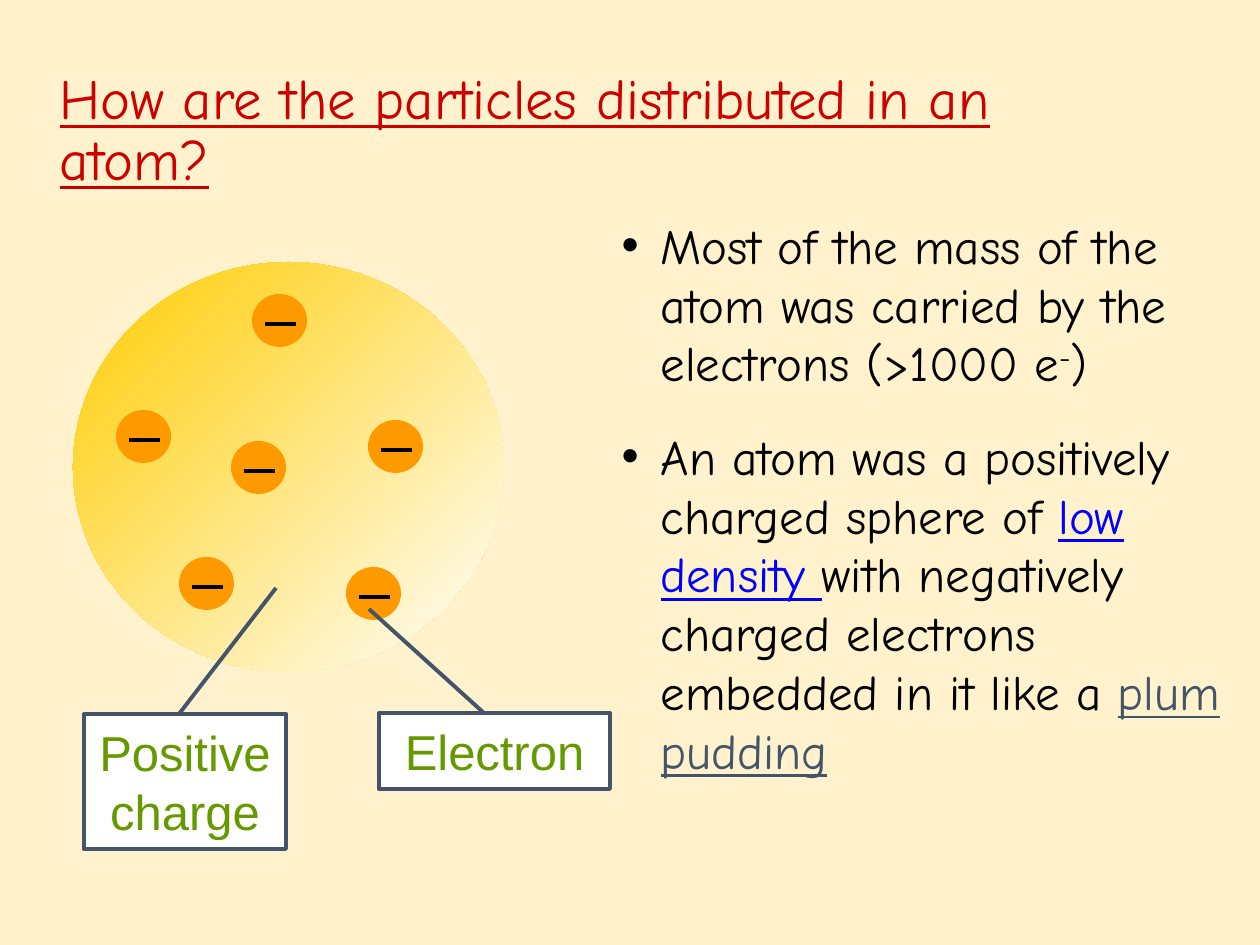
from lxml.etree import SubElement
from pptx import Presentation
from pptx.dml.color import RGBColor
from pptx.enum.shapes import MSO_CONNECTOR as CONNECTOR, MSO_SHAPE as SHAPE
from pptx.enum.text import MSO_ANCHOR as ANCHOR, MSO_AUTO_SIZE as AUTO_SIZE, PP_ALIGN as ALIGN
from pptx.oxml.ns import qn
from pptx.util import Pt

EMU_PER_PX = 914400 / 126
COLORS = {
    "background": "FFF2CC", "title": "CC0000", "text": "000000", "density": "0000FF",
    "accent": "44546A", "label": "669900", "box": "FFFFFF", "electron": "FF9900",
    "sphere_start": "FFCC00", "sphere_end": "FFFFFF",
}
TITLE_FONT = {"name": "Comic Neue", "size": Pt(32.4), "underline": True}
BODY_FONT = {"name": "Comic Neue", "size": Pt(28)}
LABEL_FONT = {"name": "Arial", "size": Pt(28)}
PLAIN_FRAME = {"word_wrap": True, "auto_size": AUTO_SIZE.NONE}
ELECTRON_SIZE = (55, 53)
ELECTRONS = [(116, 410), (231, 441), (368, 420), (346, 567), (179, 557), (252, 294)]
CALLOUTS = [
    ("Positive charge", (276, 588, 179, 714), (84, 714, 202, 135)),
    ("Electron", (369, 609, 484, 713), (379, 713, 231, 76)),
]
MASS_POINT = [
    ("Most of the mass of the atom was carried by the electrons (>1000 e", "text", {}),
    ("-", "text", {"baseline": "30000"}),
    (")", "text", {}),
]
SPHERE_POINT = [
    ("An atom was a positively charged sphere of ", "text", {}),
    ("low density ", "density", {"u": "sng"}),
    ("with negatively charged electrons embedded in it like a ", "text", {}),
    ("plum pudding", "accent", {"u": "sng"}),
]


def px(length):
    """Turn pixels into EMU."""
    return round(length * EMU_PER_PX)


def rgb(role):
    """Look up the colour of a role."""
    return RGBColor.from_string(COLORS[role])


def apply(target, values):
    """Set each attribute named in values."""
    for attribute, value in values.items():
        setattr(target, attribute, value)


def place(placeholder, box):
    """Move a placeholder to a pixel box."""
    apply(placeholder, dict(zip(("left", "top", "width", "height"), map(px, box))))


def add_run(paragraph, wording, role, font):
    """Append formatted text to a paragraph."""
    run = paragraph.add_run()
    run.text = wording
    apply(run.font, font)
    run.font.color.rgb = rgb(role)
    return run


def fill_title(title, wording, box):
    """Place and write the slide title."""
    place(title, box)
    apply(title.text_frame, PLAIN_FRAME | {"vertical_anchor": ANCHOR.MIDDLE})
    heading = title.text_frame.paragraphs[0]
    apply(heading, {"alignment": ALIGN.LEFT, "line_spacing": 0.9})
    add_run(heading, wording, "title", TITLE_FONT)


def fill_point(body, pieces, box):
    """Place a body placeholder and write one bullet point."""
    place(body, box)
    apply(body.text_frame, PLAIN_FRAME | {"vertical_anchor": ANCHOR.TOP})
    point = body.text_frame.paragraphs[0]
    point.space_before = Pt(0)
    properties = point._p.get_or_add_pPr()
    properties.set("marL", str(px(39)))
    properties.set("indent", str(px(-39)))
    for wording, role, marks in pieces:
        run = add_run(point, wording, role, BODY_FONT)
        for mark, value in marks.items():
            run._r.get_or_add_rPr().set(mark, value)


def add_ellipse(slide, box):
    """Add an ellipse without outline or shadow."""
    ellipse = slide.shapes.add_shape(SHAPE.OVAL, *map(px, box))
    ellipse.shadow.inherit = False
    ellipse.line.fill.background()
    return ellipse


def add_line(slide, ends, role):
    """Add a straight line without shadow."""
    line = slide.shapes.add_connector(CONNECTOR.STRAIGHT, *map(px, ends))
    line.line.color.rgb = rgb(role)
    line.line.width = Pt(2.25)
    SubElement(line._element.spPr, qn("a:effectLst"))


def add_sphere(slide, box):
    """Add the positive sphere with its diagonal gradient."""
    fill = add_ellipse(slide, box).fill
    fill.gradient()
    fill.gradient_angle = 315
    for stop, position, role in zip(fill.gradient_stops, (0, 1), ("sphere_start", "sphere_end")):
        stop.position = position
        stop.color.rgb = rgb(role)


def add_electron(slide, left, top):
    """Add an electron with its minus sign."""
    fill = add_ellipse(slide, (left, top, *ELECTRON_SIZE)).fill
    fill.solid()
    fill.fore_color.rgb = rgb("electron")
    add_line(slide, (left + 13, top + 30, left + 44, top + 30), "text")


def add_callout(slide, wording, pointer, box):
    """Add a boxed label and its pointer line."""
    add_line(slide, pointer, "accent")
    label = slide.shapes.add_shape(SHAPE.RECTANGLE, *map(px, box))
    label.shadow.inherit = False
    label.fill.solid()
    label.fill.fore_color.rgb = rgb("box")
    label.line.color.rgb = rgb("accent")
    label.line.width = Pt(2.25)
    apply(label.text_frame, PLAIN_FRAME | {"vertical_anchor": ANCHOR.MIDDLE})
    paragraph = label.text_frame.paragraphs[0]
    paragraph.alignment = ALIGN.CENTER
    add_run(paragraph, wording, "label", LABEL_FONT)


def main():
    """Build the plum pudding slide."""
    deck = Presentation()
    apply(deck, {"slide_width": px(1260), "slide_height": px(945)})
    slide = deck.slides.add_slide(deck.slide_layouts[3])
    slide.background.fill.solid()
    slide.background.fill.fore_color.rgb = rgb("background")

    title, mass, sphere = slide.placeholders
    fill_title(title, "How are the particles distributed in an atom?", (47, 84, 1116, 95))
    fill_point(mass, MASS_POINT, (609, 209, 630, 189))
    fill_point(sphere, SPHERE_POINT, (609, 420, 630, 365))

    add_sphere(slide, (73, 262, 431, 410))
    for left, top in ELECTRONS:
        add_electron(slide, left, top)
    for wording, pointer, box in CALLOUTS:
        add_callout(slide, wording, pointer, box)
    deck.save("out.pptx")


if __name__ == "__main__":
    main()
